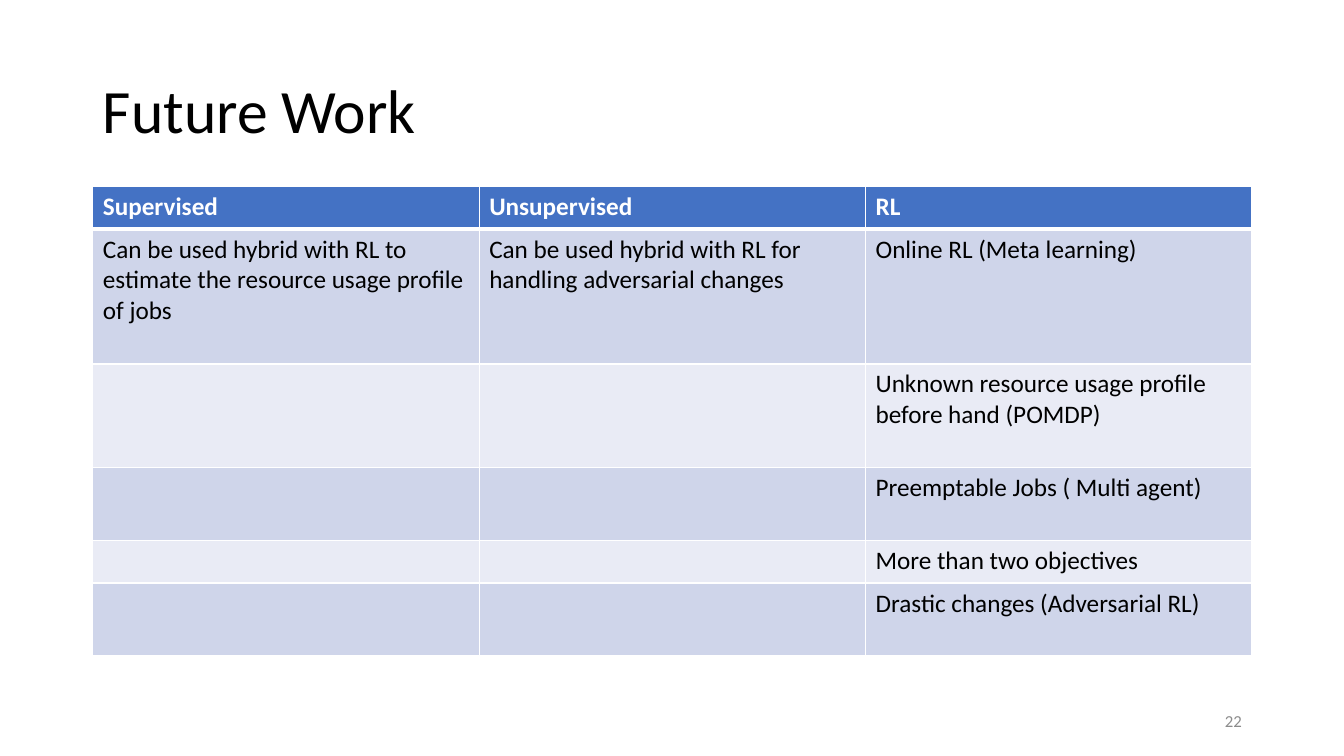
"""Build the Future Work slide: a title, a table of ideas and a page number."""
from dataclasses import dataclass

from lxml import etree
from pptx import Presentation
from pptx import util as u
from pptx.dml.color import RGBColor
from pptx.enum import text as t
from pptx.oxml import ns


@dataclass(frozen=True)
class Theme:
    """Colours, font and type sizes."""
    font: str = "Calibri"
    ink: str = "000000"
    white: str = "FFFFFF"
    gray: str = "8C8C8C"
    head: str = "4472C4"
    bands: tuple[str, str] = ("CFD5EA", "E9EBF5")
    title: int = 44
    body: int = 18
    small: int = 12
    thin: int = 1
    thick: int = 3


@dataclass(frozen=True)
class Box:
    """A place on the slide, in centimetres."""
    left: float
    top: float
    width: float
    height: float

    def place(self) -> tuple[u.Cm, u.Cm, u.Cm, u.Cm]:
        """Return the four lengths."""
        return u.Cm(self.left), u.Cm(self.top), u.Cm(self.width), u.Cm(self.height)


@dataclass(frozen=True)
class Row:
    """A table row: its height in centimetres and its texts."""
    height: float
    texts: tuple[str, str, str]


THEME = Theme()
TITLE = Box(2.34, 1.02, 29.21, 3.68)
GRID = Box(2.34, 4.7, 29.21, 11.8)
PAGE = Box(23.93, 17.65, 7.62, 1.02)
ROWS = (
    Row(1.07, ("Supervised", "Unsupervised", "RL")),
    Row(3.4, ("Can be used hybrid with RL to estimate the resource usage profile of jobs",
              "Can be used hybrid with RL for handling adversarial changes",
              "Online RL (Meta learning)")),
    Row(2.62, ("", "", "Unknown resource usage profile before hand (POMDP)")),
    Row(1.83, ("", "", "Preemptable Jobs ( Multi agent)")),
    Row(1.07, ("", "", "More than two objectives")),
    Row(1.83, ("", "", "Drastic changes (Adversarial RL)")),
)


def write(frame, words: str, size: int, color: str, bold: bool = False,
          align=t.PP_ALIGN.LEFT) -> None:
    """Add one formatted run to the first paragraph of a frame."""
    para = frame.paragraphs[0]
    para.alignment = align
    run = para.add_run()
    run.text = words
    font = run.font
    font.name, font.size, font.bold = THEME.font, u.Pt(size), bold
    font.color.rgb = RGBColor.from_string(color)


def edge(cell, top: int, base: int) -> None:
    """Draw white borders of the given top and base widths round a cell."""
    props = cell._tc.get_or_add_tcPr()
    sides = (("lnL", THEME.thin), ("lnR", THEME.thin), ("lnT", top), ("lnB", base))
    for spot, (tag, width) in enumerate(sides):
        line = etree.Element(ns.qn(f"a:{tag}"), w=str(u.Pt(width)))
        fill = etree.SubElement(line, ns.qn("a:solidFill"))
        etree.SubElement(fill, ns.qn("a:srgbClr"), val=THEME.white)
        props.insert(spot, line)


def add_title(slide) -> None:
    """Place and fill the title."""
    title = slide.shapes.title
    title.left, title.top, title.width, title.height = TITLE.place()
    frame = title.text_frame
    frame.auto_size = t.MSO_AUTO_SIZE.NONE
    frame.vertical_anchor = t.MSO_ANCHOR.MIDDLE
    write(frame, "Future Work", THEME.title, THEME.ink)
    frame.paragraphs[0].line_spacing = 0.9


def add_grid(slide) -> None:
    """Add the table of ideas."""
    table = slide.shapes.add_table(len(ROWS), len(ROWS[0].texts), *GRID.place()).table
    for num, row in enumerate(ROWS):
        table.rows[num].height = u.Cm(row.height)
        head = num == 0
        back = THEME.head if head else THEME.bands[(num - 1) % 2]
        for col, words in enumerate(row.texts):
            cell = table.cell(num, col)
            cell.fill.solid()
            cell.fill.fore_color.rgb = RGBColor.from_string(back)
            edge(cell, THEME.thick if num == 1 else THEME.thin,
                 THEME.thick if head else THEME.thin)
            if words:
                write(cell.text_frame, words, THEME.body,
                      THEME.white if head else THEME.ink, head)


def add_page(slide) -> None:
    """Add the page number."""
    frame = slide.shapes.add_textbox(*PAGE.place()).text_frame
    frame.word_wrap = True
    frame.vertical_anchor = t.MSO_ANCHOR.MIDDLE
    write(frame, "22", THEME.small, THEME.gray, align=t.PP_ALIGN.RIGHT)


def main() -> None:
    """Build and save the slide."""
    deck = Presentation()
    deck.slide_width, deck.slide_height = u.Cm(33.87), u.Cm(19.05)
    slide = deck.slides.add_slide(deck.slide_layouts.get_by_name("Title Only"))
    add_title(slide)
    add_grid(slide)
    add_page(slide)
    deck.save("out.pptx")


if __name__ == "__main__":
    main()
